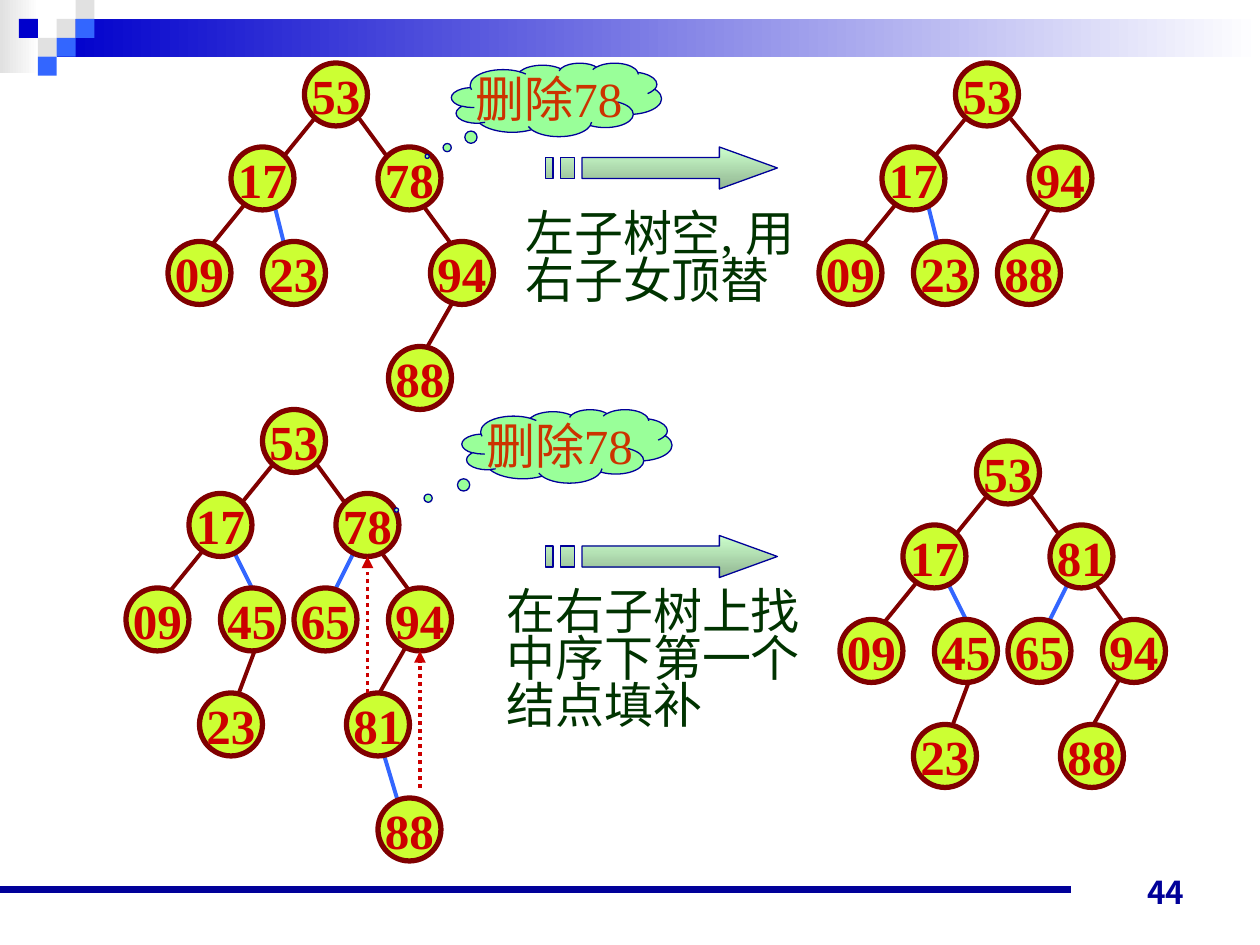
"""Build a slide on deleting a key from a binary search tree."""
from lxml import etree
from pptx import Presentation
from pptx.dml.color import RGBColor
from pptx.enum.dml import MSO_LINE
from pptx.enum.shapes import MSO_CONNECTOR, MSO_SHAPE
from pptx.enum.text import MSO_ANCHOR, MSO_AUTO_SIZE, PP_ALIGN
from pptx.oxml.ns import qn
from pptx.util import Inches, Pt

OVAL, CLOUD, RECTANGLE = MSO_SHAPE.OVAL, MSO_SHAPE.CLOUD_CALLOUT, MSO_SHAPE.RECTANGLE
STRAIGHT = MSO_CONNECTOR.STRAIGHT
LATIN, EAST_ASIAN = "Times New Roman", "Noto Sans CJK JP"
UNIT = 1 / 12
NODE = 6
SQUARE = 0.15
COLORS = {
    "blue": "0000CC", "sky": "3366FF", "gray": "E1E1E1", "white": "FFFFFF",
    "navy": "000099", "maroon": "800000", "lime": "CCFF33", "red": "CC0000",
    "mint": "99FF99", "orange": "CC3300", "pale": "CCFFCC", "sage": "92B692",
    "forest": "003300",
}

BANDS = [((0, 0, 0.31, 0.58), "gray"), ((0.45, 0.15, 9.55, 0.3), "blue")]
SQUARES = [(3, 1, "gray"), (4, 0, "gray"), (4, 1, "sky"), (2, 2, "gray"),
           (1, 1, "blue"), (3, 2, "sky"), (2, 3, "sky")]

SLOTS = {
    "root": (0, 0), "left": (-7, 8), "right": (7, 8),
    "left-left": (-13, 17), "left-right": (-4, 17),
    "right-left": (3, 17), "right-left only": (4, 17), "right-right": (12, 17),
    "left-right-left": (-6, 27), "right-right-left": (8, 27), "last": (11, 37),
}
LEFT_SPINE = ("maroon", 2, 4, -11, 20)
RIGHT_SPINE = ("maroon", 5, 5, 16, 20)
INNER_EDGES = [("sky", 9, 13, 6, 19), ("sky", -3, 13, 0, 19),
               ("maroon", 0, 21, -3, 29), ("maroon", 14, 22, 10, 29)]
TREES = [
    {"origin": (29, 6),
     "edges": [LEFT_SPINE, RIGHT_SPINE, ("sky", -3, 13, -1, 21), ("maroon", 14, 23, 10, 30)],
     "keys": {"root": "53", "left": "17", "right": "78", "left-left": "09",
              "left-right": "23", "right-right": "94", "right-right-left": "88"}},
    {"origin": (91, 6),
     "edges": [LEFT_SPINE, ("maroon", 5, 5, 10, 11), ("sky", -3, 12, -1, 20),
               ("maroon", 10, 12, 6, 19)],
     "keys": {"root": "53", "left": "17", "right": "94", "left-left": "09",
              "left-right": "23", "right-left only": "88"}},
    {"origin": (25, 39),
     "edges": [LEFT_SPINE, RIGHT_SPINE, *INNER_EDGES, ("sky", 11, 31, 14, 41)],
     "keys": {"last": "88", "root": "53", "left": "17", "right": "78", "left-left": "09",
              "left-right": "45", "right-left": "65", "right-right": "94",
              "left-right-left": "23", "right-right-left": "81"}},
    {"origin": (93, 42),
     "edges": [LEFT_SPINE, RIGHT_SPINE, *INNER_EDGES],
     "keys": {"root": "53", "left": "17", "right": "81", "left-left": "09",
              "left-right": "45", "right-left": "65", "right-right": "94",
              "left-right-left": "23", "right-right-left": "88"}},
]
STEPS = [
    {"cloud": (43, 6), "pointer": (-0.616, 0.771), "arrow_top": 14,
     "note": "左子树空, 用右子女顶替", "note_box": (4.07, 1.65, 2.43, 0.85)},
    {"cloud": (44, 39), "pointer": (-0.812, 0.869), "arrow_top": 51,
     "note": "在右子树上找中序下第一个结点填补", "note_box": (3.92, 4.65, 2.58, 1.22)},
]
ARROW_HEAD = [(5.71, 0), (5.71, 1), (4.62, 1), (4.62, 3), (5.71, 3), (5.71, 4), (6.17, 2)]
ARROW_BARS = [(4.45, 4.56), (4.33, 4.39)]
REPLACEMENTS = [(35, 66, 35, 53), (40, 75, 40, 62)]


def rgb(name):
    return RGBColor.from_string(COLORS[name])


def inches(*values):
    return [Inches(value) for value in values]


def units(*values):
    return inches(*(value * UNIT for value in values))


def fill_gradient(shape, start, end, angle):
    shape.fill.gradient()
    shape.fill.gradient_angle = angle
    for stop, color in zip(shape.fill.gradient_stops, (start, end)):
        stop.color.rgb = rgb(color)


def add_block(slide, kind, box, fill=None, line=None, width=0.75):
    shape = slide.shapes.add_shape(kind, *box)
    shape.shadow.inherit = False
    if fill:
        shape.fill.solid()
        shape.fill.fore_color.rgb = rgb(fill)
    if line:
        shape.line.color.rgb = rgb(line)
        shape.line.width = Pt(width)
    else:
        shape.line.fill.background()
    return shape


def write(shape, text, color, size=28, bold=False, align=PP_ALIGN.CENTER,
          anchor=MSO_ANCHOR.MIDDLE, wrap=False, latin=LATIN):
    frame = shape.text_frame
    frame.word_wrap = wrap
    frame.vertical_anchor = anchor
    paragraph = frame.paragraphs[0]
    paragraph.alignment = align
    run = paragraph.add_run()
    run.text = text
    run.font.name = latin
    run.font.size = Pt(size)
    run.font.bold = bold
    run.font.color.rgb = rgb(color)
    etree.SubElement(run.font._element, qn("a:ea"), typeface=EAST_ASIAN)
    return paragraph


def add_line(slide, ends, color, width=2.25, dotted_arrow=False):
    connector = slide.shapes.add_connector(STRAIGHT, *ends)
    connector.line.color.rgb = rgb(color)
    connector.line.width = Pt(width)
    if dotted_arrow:
        connector.line.dash_style = MSO_LINE.ROUND_DOT
        etree.SubElement(connector.line._get_or_add_ln(), qn("a:tailEnd"), type="triangle")
    etree.SubElement(connector._element.spPr, qn("a:effectLst"))


def add_frame(slide):
    for box, color in BANDS:
        fill_gradient(add_block(slide, RECTANGLE, inches(*box)), color, "white", 0)
    for column, row, color in SQUARES:
        box = inches(column * SQUARE, row * SQUARE, SQUARE, SQUARE)
        add_block(slide, RECTANGLE, box, color)
    add_line(slide, inches(0, 7.06, 8.5, 7.06), "navy", 4.5)
    number = slide.shapes.add_textbox(*inches(7.17, 6.78, 2.33, 0.5))
    write(number, "44", "navy", 18, True, PP_ALIGN.RIGHT, MSO_ANCHOR.BOTTOM, True, EAST_ASIAN)


def add_tree(slide, tree):
    left, top = tree["origin"]
    for color, x1, y1, x2, y2 in tree["edges"]:
        add_line(slide, units(left + x1, top + y1, left + x2, top + y2), color)
    for slot, key in tree["keys"].items():
        x, y = SLOTS[slot]
        box = units(left + x, top + y, NODE, NODE)
        write(add_block(slide, OVAL, box, "lime", "maroon", 3), key, "red", bold=True)


def add_arrow(slide, top):
    bars = [[(x1, 1), (x1, 3), (x2, 3), (x2, 1)] for x1, x2 in ARROW_BARS]
    outlines = [[(Inches(x), Inches((top + y) * UNIT)) for x, y in outline]
                for outline in [ARROW_HEAD, *bars]]
    builder = slide.shapes.build_freeform(*outlines[0][0])
    for outline in outlines:
        builder.move_to(*outline[0])
        builder.add_line_segments(outline[1:], close=True)
    arrow = builder.convert_to_shape()
    arrow.shadow.inherit = False
    fill_gradient(arrow, "pale", "sage", 270)
    arrow.line.color.rgb = rgb("navy")
    arrow.line.width = Pt(0.75)


def add_step(slide, step):
    cloud = add_block(slide, CLOUD, units(*step["cloud"], 20, 7), "mint", "navy")
    for index, value in enumerate(step["pointer"]):
        cloud.adjustments[index] = value
    write(cloud, "删除78", "orange")
    add_arrow(slide, step["arrow_top"])
    note = slide.shapes.add_textbox(*inches(*step["note_box"]))
    paragraph = write(note, step["note"], "forest", align=PP_ALIGN.LEFT,
                      anchor=MSO_ANCHOR.TOP, wrap=True)
    paragraph.line_spacing = 0.8
    note.text_frame.auto_size = MSO_AUTO_SIZE.SHAPE_TO_FIT_TEXT


def main():
    presentation = Presentation()
    presentation.slide_width, presentation.slide_height = inches(10, 7.5)
    slide = presentation.slides.add_slide(presentation.slide_layouts[6])
    add_frame(slide)
    for tree in TREES:
        add_tree(slide, tree)
    for step in STEPS:
        add_step(slide, step)
    for ends in REPLACEMENTS:
        add_line(slide, units(*ends), "red", dotted_arrow=True)
    presentation.save("out.pptx")


if __name__ == "__main__":
    main()
